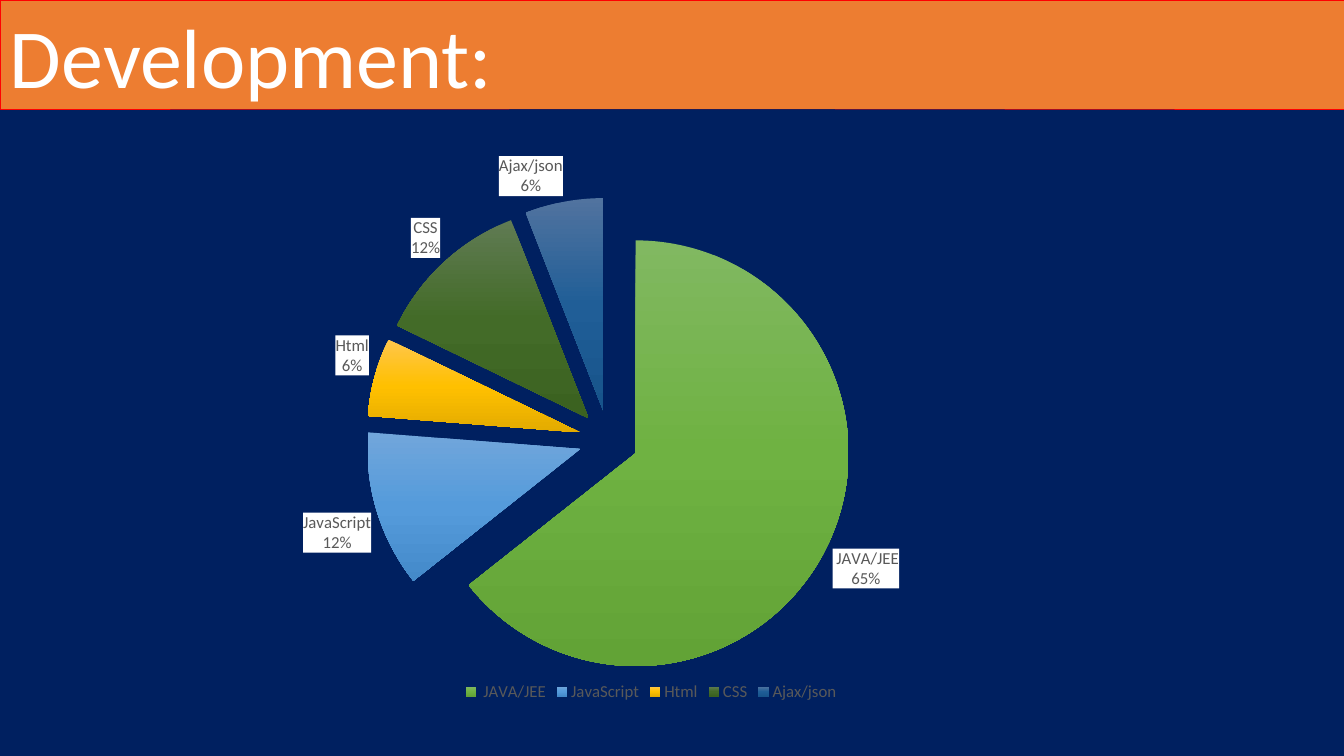
from pptx import Presentation
from pptx.chart.data import CategoryChartData
from pptx.dml.color import RGBColor
from pptx.enum.chart import XL_CHART_TYPE, XL_LABEL_POSITION, XL_LEGEND_POSITION
from pptx.enum.shapes import MSO_SHAPE
from pptx.enum.text import MSO_ANCHOR, PP_ALIGN
from pptx.oxml import parse_xml
from pptx.oxml.ns import nsdecls, qn
from pptx.util import Pt

RECTANGLE = MSO_SHAPE.RECTANGLE
PIE = XL_CHART_TYPE.PIE
OUTSIDE_END = XL_LABEL_POSITION.OUTSIDE_END
BOTTOM = XL_LEGEND_POSITION.BOTTOM
MIDDLE = MSO_ANCHOR.MIDDLE
LEFT = PP_ALIGN.LEFT

NAVY = RGBColor(0x00, 0x20, 0x60)
ORANGE = RGBColor(0xED, 0x7D, 0x31)
RED = RGBColor(0xFF, 0x00, 0x00)
WHITE = RGBColor(0xFF, 0xFF, 0xFF)
BLACK = RGBColor(0x00, 0x00, 0x00)
GRAY = RGBColor(0x59, 0x59, 0x59)
GREEN_SHADES = (RGBColor(0x81, 0xB8, 0x61), RGBColor(0x6F, 0xB2, 0x42), RGBColor(0x62, 0xA3, 0x36))
BLUE_SHADES = (RGBColor(0x71, 0xA6, 0xDB), RGBColor(0x55, 0x9B, 0xDB), RGBColor(0x44, 0x8A, 0xCA))
GOLD_SHADES = (RGBColor(0xFF, 0xC6, 0x4B), RGBColor(0xFF, 0xC0, 0x00), RGBColor(0xE3, 0xAB, 0x00))
FOREST_SHADES = (RGBColor(0x60, 0x7B, 0x53), RGBColor(0x43, 0x6B, 0x28), RGBColor(0x3B, 0x62, 0x20))
OCEAN_SHADES = (RGBColor(0x51, 0x73, 0x9F), RGBColor(0x20, 0x5E, 0x97), RGBColor(0x17, 0x54, 0x8B))

SKILLS = [
    (" JAVA/JEE", 65, GREEN_SHADES),
    ("JavaScript", 12, BLUE_SHADES),
    ("Html", 6, GOLD_SHADES),
    ("CSS", 12, FOREST_SHADES),
    ("Ajax/json", 6, OCEAN_SHADES),
]
PLOT_AREA = {"x": 0.02, "y": 0.103, "w": 0.888, "h": 0.857}
EXPLOSION = 14


def set_attributes(target, values):
    for name, value in values.items():
        setattr(target, name, value)


def set_font(font, size, color):
    set_attributes(font, {"name": "Calibri", "size": Pt(size)})
    font.color.rgb = color


def add_rectangle(slide, box, fill_color, line_color, line_width):
    shape = slide.shapes.add_shape(RECTANGLE, *map(Pt, box))
    shape.shadow.inherit = False
    shape.fill.solid()
    shape.fill.fore_color.rgb = fill_color
    shape.line.color.rgb = line_color
    shape.line.width = Pt(line_width)
    return shape


def add_title(shape, text):
    frame = shape.text_frame
    set_attributes(frame, {"word_wrap": True, "vertical_anchor": MIDDLE})
    paragraph = frame.paragraphs[0]
    paragraph.alignment = LEFT
    run = paragraph.add_run()
    run.text = text
    set_font(run.font, 60, WHITE)


def fill_slice(series, index, shades):
    point_format = series.points[index].format
    point_format.line.fill.background()
    stops = "".join(
        f'<a:gs pos="{position}"><a:srgbClr val="{color}"/></a:gs>'
        for position, color in zip((0, 50000, 100000), shades)
    )
    gradient = parse_xml(
        f'<a:gradFill {nsdecls("a")} rotWithShape="1"><a:gsLst>{stops}</a:gsLst>'
        '<a:lin ang="5400000" scaled="0"/></a:gradFill>'
    )
    properties = series._element.findall(qn("c:dPt"))[index].find(qn("c:spPr"))
    properties.insert(0, gradient)


def explode_slices(series):
    explosion = parse_xml(f'<c:explosion {nsdecls("c")} val="{EXPLOSION}"/>')
    series._element.find(qn("c:dPt")).addprevious(explosion)


def format_labels(series):
    labels = series.data_labels
    set_attributes(labels, {
        "show_category_name": True,
        "show_value": True,
        "show_percentage": False,
        "show_legend_key": False,
        "number_format": '0"%"',
        "number_format_is_linked": False,
        "position": OUTSIDE_END,
    })
    set_font(labels.font, 12, GRAY)
    element = labels._element
    element.find(qn("c:txPr")).addprevious(parse_xml(
        f'<c:spPr {nsdecls("c", "a")}><a:solidFill><a:srgbClr val="{WHITE}"/></a:solidFill></c:spPr>'
    ))
    separator = parse_xml(f'<c:separator {nsdecls("c")}>\n</c:separator>')
    element.find(qn("c:showBubbleSize")).addnext(separator)


def place_plot(chart):
    plot_area = chart._chartSpace.chart.plotArea
    layout = plot_area.find(qn("c:layout"))
    if layout is not None:
        plot_area.remove(layout)
    sizes = "".join(f'<c:{key} val="{value}"/>' for key, value in PLOT_AREA.items())
    plot_area.insert(0, parse_xml(
        f'<c:layout {nsdecls("c")}><c:manualLayout><c:layoutTarget val="inner"/>'
        f'<c:xMode val="edge"/><c:yMode val="edge"/>{sizes}</c:manualLayout></c:layout>'
    ))


def add_skill_pie(slide, box):
    chart_data = CategoryChartData()
    chart_data.categories = [name for name, _, _ in SKILLS]
    chart_data.add_series("Series 1", [value for _, value, _ in SKILLS])
    chart = slide.shapes.add_chart(PIE, *map(Pt, box), chart_data).chart
    set_attributes(chart, {"has_title": False, "has_legend": True})
    set_font(chart.font, 10, BLACK)
    set_attributes(chart.legend, {"position": BOTTOM, "include_in_layout": False})
    set_font(chart.legend.font, 12, GRAY)
    plot = chart.plots[0]
    plot.vary_by_categories = True
    series = plot.series[0]
    for index, (_, _, shades) in enumerate(SKILLS):
        fill_slice(series, index, shades)
    explode_slices(series)
    format_labels(series)
    place_plot(chart)


def main():
    presentation = Presentation()
    set_attributes(presentation, {"slide_width": Pt(960), "slide_height": Pt(540)})
    slide = presentation.slides.add_slide(presentation.slide_layouts[6])
    add_rectangle(slide, (0, 1.5, 960, 540), NAVY, NAVY, 3)
    header = add_rectangle(slide, (0, 0, 960, 77.75), ORANGE, RED, 0.25)
    add_title(header, "Development:")
    add_skill_pie(slide, (47.5, 99.5, 835, 404.5))
    presentation.save("out.pptx")


if __name__ == "__main__":
    main()
